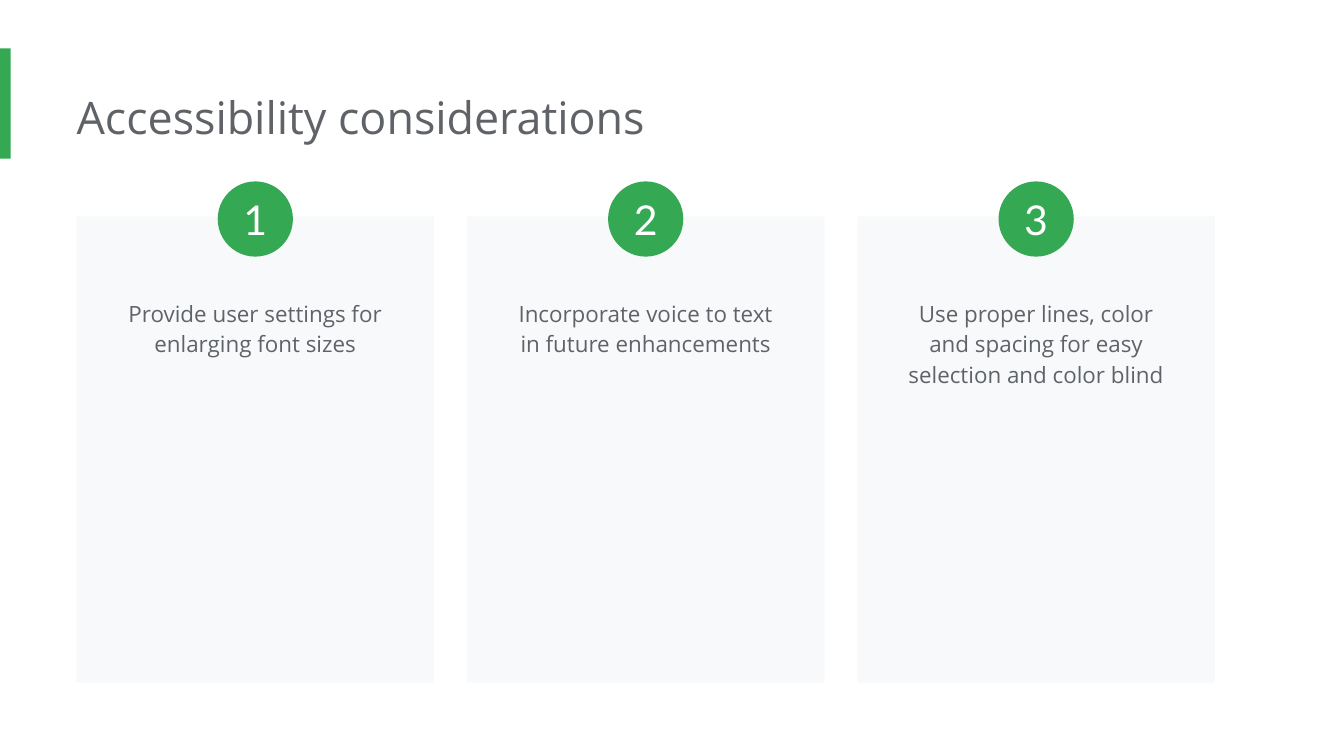
from pptx import Presentation
from pptx.dml.color import RGBColor
from pptx.enum.shapes import MSO_SHAPE
from pptx.enum.text import MSO_ANCHOR, MSO_AUTO_SIZE, PP_ALIGN
from pptx.util import Inches, Pt

RECTANGLE, OVAL = MSO_SHAPE.RECTANGLE, MSO_SHAPE.OVAL
LEFT, CENTER = PP_ALIGN.LEFT, PP_ALIGN.CENTER
TOP, MIDDLE = MSO_ANCHOR.TOP, MSO_ANCHOR.MIDDLE
FIT_SHAPE, FIXED = MSO_AUTO_SIZE.SHAPE_TO_FIT_TEXT, MSO_AUTO_SIZE.NONE

COLORS = {"green": "34A853", "gray": "5F6368", "card": "F8F9FA", "white": "FFFFFF"}

# Grid of three equal columns on a 16:9 slide, in inches
WIDTH = 10
HEIGHT = WIDTH * 9 / 16
MARGIN, LAST_LEFT, COLUMN = 0.57, 6.38, 2.66
STEP = (LAST_LEFT - MARGIN) / 2
CARD_TOP, CARD_HEIGHT = 1.61, 3.47
BADGE, BADGE_TOP = 0.56, 1.35
TEXT_WIDTH, TEXT_TOP, LINE_HEIGHT = 2.24, 2.1, 0.23

CONSIDERATIONS = [
    ("Provide user settings for enlarging font sizes", 2),
    ("Incorporate voice to text in future enhancements", 2),
    ("Use proper lines, color and spacing for easy selection and color blind", 3),
]


def write(box, text, size, color, font="Open Sans", align=LEFT, anchor=TOP,
          insets=(0.1, 0.1, 0.1, 0.1), fit=FIT_SHAPE, spacing=1.0):
    frame = box.text_frame
    frame.word_wrap = True
    frame.auto_size = fit
    frame.vertical_anchor = anchor
    (frame.margin_left, frame.margin_top,
     frame.margin_right, frame.margin_bottom) = map(Inches, insets)
    para = frame.paragraphs[0]
    para.alignment = align
    para.line_spacing = spacing
    para.space_before = Pt(0)
    span = para.add_run()
    span.text = text
    span.font.size = Pt(size)
    span.font.name = font
    span.font.color.rgb = RGBColor.from_string(COLORS[color])


def add_block(page, kind, left, top, width, height, color):
    block = page.shapes.add_shape(kind, *map(Inches, (left, top, width, height)))
    block.shadow.inherit = False
    block.fill.solid()
    block.fill.fore_color.rgb = RGBColor.from_string(COLORS[color])
    block.line.fill.background()
    return block


deck = Presentation()
deck.slide_width, deck.slide_height = Inches(WIDTH), Inches(HEIGHT)
page = deck.slides.add_slide(deck.slide_layouts[5])

# Accent bar and title
add_block(page, RECTANGLE, 0, 0.36, 0.08, 0.82, "green")
title = page.shapes.title
title.left, title.top, title.width, title.height = map(Inches, (MARGIN, 0.57, 7.66, 0.61))
write(title, "Accessibility considerations", 24, "gray", insets=(0, 0.1, 0.1, 0.1))

# Numbered cards
for index, (text, lines) in enumerate(CONSIDERATIONS):
    left = MARGIN + index * STEP
    center = left + COLUMN / 2
    add_block(page, RECTANGLE, left, CARD_TOP, COLUMN, CARD_HEIGHT, "card")

    box = page.shapes.add_textbox(Inches(center - TEXT_WIDTH / 2), Inches(TEXT_TOP),
                                  Inches(TEXT_WIDTH), Inches(0.2 + lines * LINE_HEIGHT))
    write(box, text, 12, "gray", align=CENTER, spacing=1.15)

    badge = add_block(page, OVAL, center - BADGE / 2, BADGE_TOP, BADGE, BADGE, "green")
    write(badge, str(index + 1), 22, "white", font="Lato", align=CENTER,
          anchor=MIDDLE, insets=(0, 0, 0, 0), fit=FIXED)

deck.save("out.pptx")
